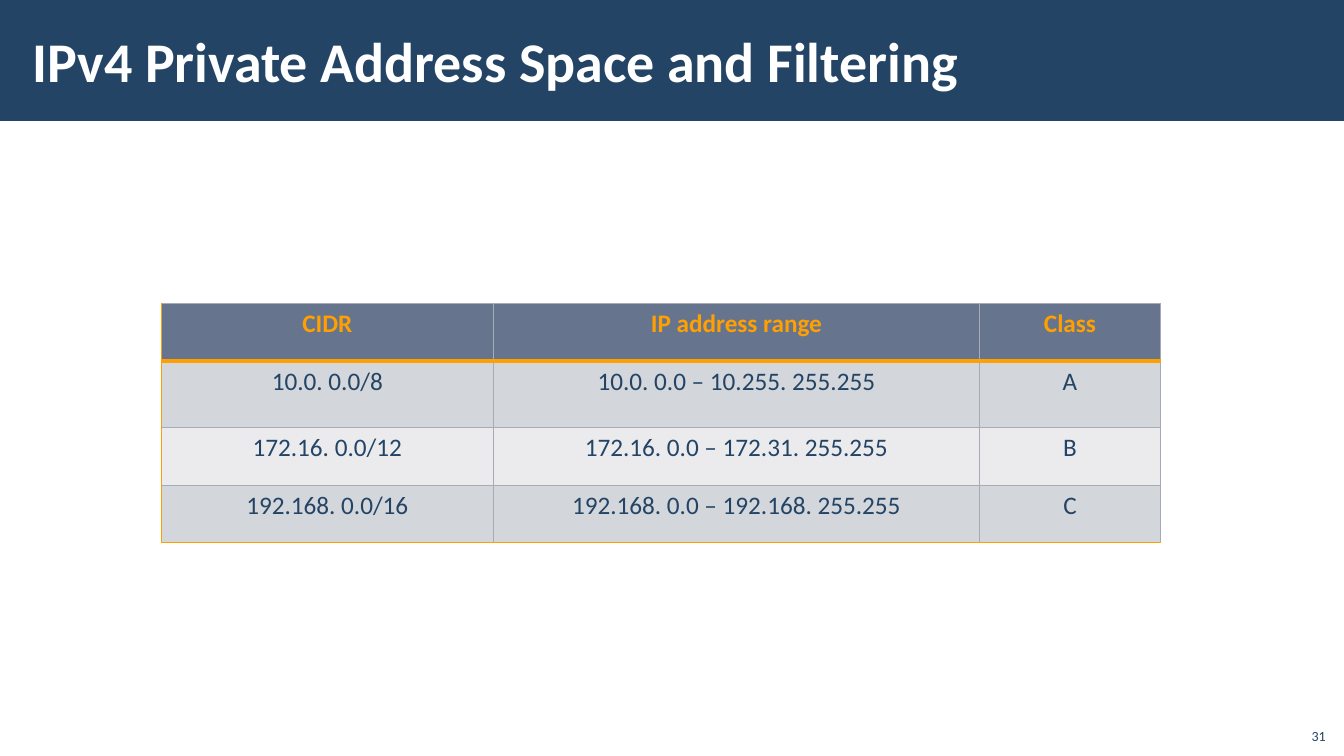
from lxml.etree import SubElement
from pptx import Presentation
from pptx.dml.color import RGBColor
from pptx.enum.shapes import MSO_SHAPE
from pptx.enum.text import MSO_ANCHOR as ANCHOR, PP_ALIGN as ALIGN
from pptx.oxml.ns import qn
from pptx.util import Cm, Pt

NAVY, ORANGE, WHITE, GREY = "234465", "FFA000", "FFFFFF", "A5ACB5"
HEADER, BAND_DARK, BAND_LIGHT = "67748E", "D3D6DB", "EBEBEE"


def rgb(value):
    return RGBColor.from_string(value)


class SlideBuilder:
    font = "Calibri"

    def __init__(self, slide):
        self.slide = slide

    def add_line(self, tf, text, color, align=ALIGN.LEFT, **fmt):
        p = tf.paragraphs[0]
        p.alignment = align
        r = p.add_run()
        r.text = text
        r.font.color.rgb = rgb(color)
        for name, value in {"name": self.font, **fmt}.items():
            setattr(r.font, name, value)

    def rect(self, x, y, w, h, color):
        sp = self.slide.shapes.add_shape(
            MSO_SHAPE.RECTANGLE, Cm(x), Cm(y), Cm(w), Cm(h))
        sp.shadow.inherit = False
        sp.fill.solid()
        sp.fill.fore_color.rgb = rgb(color)
        sp.line.fill.background()

    def text(self, x, y, w, h, text, color, anchor, margin_x=0.25, **fmt):
        tf = self.slide.shapes.add_textbox(Cm(x), Cm(y), Cm(w), Cm(h)).text_frame
        frame = {"word_wrap": True, "vertical_anchor": anchor,
                 "margin_left": Cm(margin_x), "margin_right": Cm(margin_x)}
        for name, value in frame.items():
            setattr(tf, name, value)
        self.add_line(tf, text, color, **fmt)

    def border(self, cell, side, color, width):
        ln = SubElement(cell._tc.get_or_add_tcPr(), qn(f"a:ln{side}"), w=str(Pt(width)))
        fill = SubElement(ln, qn("a:solidFill"))
        SubElement(fill, qn("a:srgbClr"), val=color)

    def table(self, x, y, widths, heights, rows):
        table = self.slide.shapes.add_table(
            len(rows), len(widths), Cm(x), Cm(y),
            Cm(sum(widths)), Cm(sum(heights))).table
        table.horz_banding = False
        for column, width in zip(table.columns, widths):
            column.width = Cm(width)
        thin, accent, rule = (GREY, 0.5), (ORANGE, 1), (ORANGE, 3)
        for i, (row, height) in enumerate(zip(rows, heights)):
            table.rows[i].height = Cm(height)
            header, last = i == 0, i == len(rows) - 1
            fill = HEADER if header else BAND_DARK if i % 2 else BAND_LIGHT
            for j, value in enumerate(row):
                cell = table.cell(i, j)
                borders = {"L": thin if j else accent, "R": thin,
                           "T": rule if i == 1 else thin,
                           "B": rule if header else accent if last else thin}
                for side, line in borders.items():
                    self.border(cell, side, *line)
                cell.fill.solid()
                cell.fill.fore_color.rgb = rgb(fill)
                self.add_line(cell.text_frame, value, ORANGE if header else NAVY,
                              ALIGN.CENTER, size=Pt(18), bold=header)


def main():
    prs = Presentation()
    prs.slide_width, prs.slide_height = Cm(33.87), Cm(19.05)
    s = SlideBuilder(prs.slides.add_slide(prs.slide_layouts[6]))

    # Title bar
    s.rect(0, 0, 33.87, 3.05, NAVY)
    s.text(0.53, 0.28, 27, 2.46, "IPv4 Private Address Space and Filtering",
           WHITE, ANCHOR.MIDDLE, margin_x=0.3, size=Pt(40), bold=True)

    # Private address ranges
    s.table(4.06, 7.65, [8.38, 12.24, 4.57], [1.45, 1.68, 1.45, 1.45], [
        ("CIDR", "IP address range", "Class"),
        ("10.0. 0.0/8", "10.0. 0.0 – 10.255. 255.255", "A"),
        ("172.16. 0.0/12", "172.16. 0.0 – 172.31. 255.255", "B"),
        ("192.168. 0.0/16", "192.168. 0.0 – 192.168. 255.255", "C"),
    ])

    # Slide number
    s.text(32.64, 18.08, 1.02, 0.81, "31", NAVY, ANCHOR.BOTTOM,
           align=ALIGN.RIGHT, size=Pt(10))

    prs.save("out.pptx")


if __name__ == "__main__":
    main()
